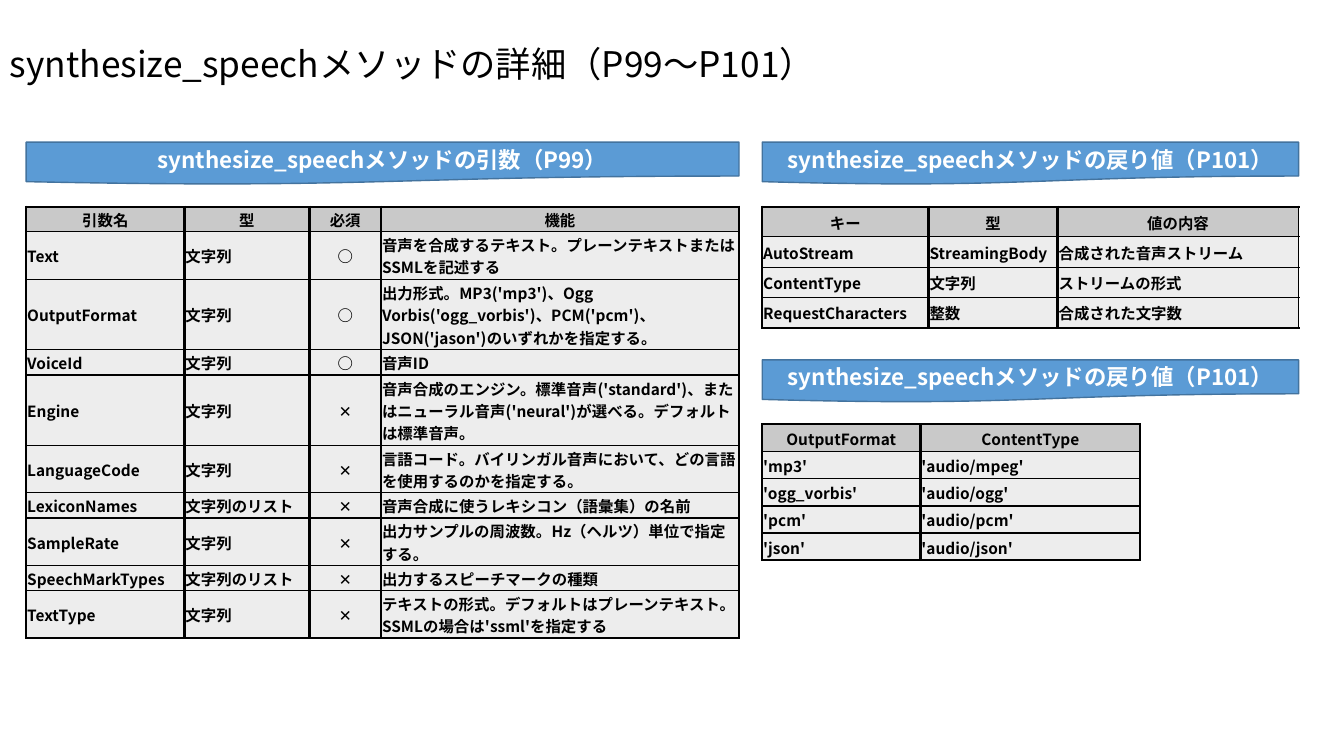
from dataclasses import dataclass

from lxml.etree import SubElement
from pptx import Presentation
from pptx.dml.color import RGBColor
from pptx.enum.lang import MSO_LANGUAGE_ID as Lang
from pptx.enum.shapes import MSO_SHAPE as Shape
from pptx.enum.text import MSO_ANCHOR as Anchor, PP_ALIGN as Align
from pptx.oxml.ns import qn
from pptx.util import Inches, Pt


@dataclass(frozen=True)
class Theme:
    font: str = "Noto Sans CJK JP"
    ink: str = "000000"
    banner_text: str = "FFFFFF"
    banner_fill: str = "5B9BD5"
    banner_line: str = "43739E"
    header_fill: str = "C9C9C9"
    body_fill: str = "EDEDED"
    title_size: float = 25.2
    banner_size: float = 16
    table_size: float = 11
    outer_rule: float = 1.5
    column_rule: float = 2
    row_rule: float = 1


def rgb(color):
    return RGBColor.from_string(color)


def write(frame, text, *, size, color, font, bold=False, align=Align.LEFT, spacing=None):
    """Put one formatted run into the first paragraph of a text frame."""
    frame.word_wrap = True
    paragraph = frame.paragraphs[0]
    paragraph.alignment = align
    if spacing:
        paragraph.line_spacing = spacing
    run = paragraph.add_run()
    run.text = text
    run.font.size = Pt(size)
    run.font.bold = bold
    run.font.color.rgb = rgb(color)
    run.font.name = font
    run.font.language_id = Lang.JAPANESE
    SubElement(run.font._element, qn("a:ea")).set("typeface", font)


def set_borders(cell, color, **widths):
    """Rule the cell edges; widths in points, keyed L, R, T, B in schema order."""
    properties = cell._tc.get_or_add_tcPr()
    for side, width in widths.items():
        line = SubElement(properties, qn(f"a:ln{side}"), w=str(Pt(width)))
        fill = SubElement(line, qn("a:solidFill"))
        SubElement(fill, qn("a:srgbClr"), val=color)


class SlideBuilder:
    def __init__(self, slide, theme):
        self.slide = slide
        self.theme = theme

    def title(self, text, left, top, width, height):
        box = self.slide.shapes.add_textbox(*map(Inches, (left, top, width, height)))
        box.text_frame.vertical_anchor = Anchor.MIDDLE
        write(box.text_frame, text, size=self.theme.title_size, color=self.theme.ink,
              font=self.theme.font, spacing=0.9)

    def banner(self, text, left, top, width, height=0.42):
        theme = self.theme
        banner = self.slide.shapes.add_shape(
            Shape.FLOWCHART_DOCUMENT, *map(Inches, (left, top, width, height)))
        banner.shadow.inherit = False
        banner.fill.solid()
        banner.fill.fore_color.rgb = rgb(theme.banner_fill)
        banner.line.color.rgb = rgb(theme.banner_line)
        banner.line.width = Pt(1)
        banner.text_frame.vertical_anchor = Anchor.MIDDLE
        write(banner.text_frame, text, size=theme.banner_size, color=theme.banner_text,
              font=theme.font, bold=True, align=Align.CENTER)

    def table(self, rows, left, top, widths, heights, centred=()):
        """Draw a table whose first row is the header; centred lists body columns."""
        frame = self.slide.shapes.add_table(
            len(rows), len(widths),
            *map(Inches, (left, top, sum(widths), sum(heights))))
        table = frame.table
        for column, width in zip(table.columns, widths):
            column.width = Inches(width)
        for row, height in zip(table.rows, heights):
            row.height = Inches(height)
        for r, texts in enumerate(rows):
            for c, text in enumerate(texts):
                self.cell(table, r, c, text, r == 0 or c in centred)

    def cell(self, table, r, c, text, centre):
        theme = self.theme
        cell = table.cell(r, c)
        cell.margin_left = cell.margin_right = cell.margin_top = Inches(0.01)
        cell.margin_bottom = 0
        cell.vertical_anchor = Anchor.MIDDLE
        last_row, last_column = len(table.rows) - 1, len(table.columns) - 1
        set_borders(
            cell, theme.ink,
            L=theme.outer_rule if c == 0 else theme.column_rule,
            R=theme.outer_rule if c == last_column else theme.column_rule,
            T=theme.outer_rule if r == 0 else theme.row_rule,
            B=theme.outer_rule if r == last_row else theme.row_rule)
        cell.fill.solid()
        cell.fill.fore_color.rgb = rgb(theme.body_fill if r else theme.header_fill)
        write(cell.text_frame, text, size=theme.table_size, color=theme.ink,
              font=theme.font, bold=True, align=Align.CENTER if centre else Align.LEFT)


ARGUMENTS = [
    ("引数名", "型", "必須", "機能"),
    ("Text", "文字列", "○", "音声を合成するテキスト。プレーンテキストまたはSSMLを記述する"),
    ("OutputFormat", "文字列", "○",
     "出力形式。MP3('mp3')、Ogg Vorbis('ogg_vorbis')、PCM('pcm')、"
     "JSON('jason')のいずれかを指定する。"),
    ("VoiceId", "文字列", "○", "音声ID"),
    ("Engine", "文字列", "✕",
     "音声合成のエンジン。標準音声('standard')、またはニューラル音声('neural')が選べる。"
     "デフォルトは標準音声。"),
    ("LanguageCode", "文字列", "✕",
     "言語コード。バイリンガル音声において、どの言語を使用するのかを指定する。"),
    ("LexiconNames", "文字列のリスト", "✕", "音声合成に使うレキシコン（語彙集）の名前"),
    ("SampleRate", "文字列", "✕", "出力サンプルの周波数。Hz（ヘルツ）単位で指定する。"),
    ("SpeechMarkTypes", "文字列のリスト", "✕", "出力するスピーチマークの種類"),
    ("TextType", "文字列", "✕",
     "テキストの形式。デフォルトはプレーンテキスト。SSMLの場合は'ssml'を指定する"),
]
ARGUMENT_LINES = (1, 2, 3, 1, 3, 2, 1, 2, 1, 2)
LINE_HEIGHTS = {1: 0.25, 2: 0.47, 3: 0.7}

RETURN_VALUES = [
    ("キー", "型", "値の内容"),
    ("AutoStream", "StreamingBody", "合成された音声ストリーム"),
    ("ContentType", "文字列", "ストリームの形式"),
    ("RequestCharacters", "整数", "合成された文字数"),
]

CONTENT_TYPES = [("OutputFormat", "ContentType")] + [
    (f"'{output}'", f"'audio/{subtype}'")
    for output, subtype in (("mp3", "mpeg"), ("ogg_vorbis", "ogg"),
                            ("pcm", "pcm"), ("json", "json"))
]

LEFT, RIGHT = 0.26, 7.56
UPPER, LOWER = 1.41, 3.57
TABLE_DROP = 0.64


def main():
    deck = Presentation()
    deck.slide_width, deck.slide_height = Inches(13.33), Inches(7.5)
    builder = SlideBuilder(deck.slides.add_slide(deck.slide_layouts[6]), Theme())

    builder.title("synthesize_speechメソッドの詳細（P99～P101）", 0, 0.4, 9.88, 0.52)

    builder.banner("synthesize_speechメソッドの引数（P99）", LEFT, UPPER, 7.07)
    builder.table(ARGUMENTS, LEFT, UPPER + TABLE_DROP, (1.57, 1.24, 0.71, 3.55),
                  [LINE_HEIGHTS[lines] for lines in ARGUMENT_LINES], centred=(2,))

    for top in (UPPER, LOWER):
        builder.banner("synthesize_speechメソッドの戻り値（P101）", RIGHT, top, 5.32)
    builder.table(RETURN_VALUES, RIGHT, UPPER + TABLE_DROP, (1.65, 1.28, 2.39),
                  [0.3] * len(RETURN_VALUES))
    builder.table(CONTENT_TYPES, RIGHT, LOWER + TABLE_DROP, (1.57, 2.18),
                  [0.27] * len(CONTENT_TYPES))

    deck.save("out.pptx")


if __name__ == "__main__":
    main()
